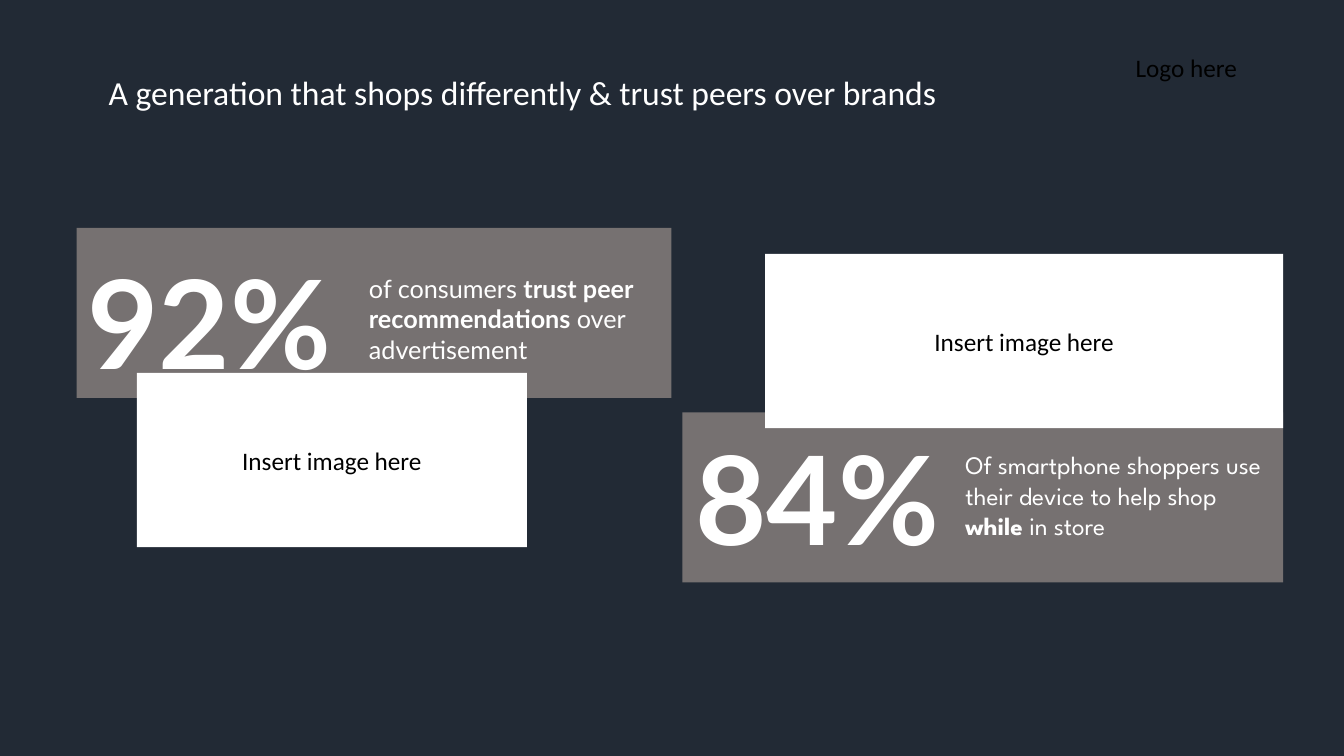
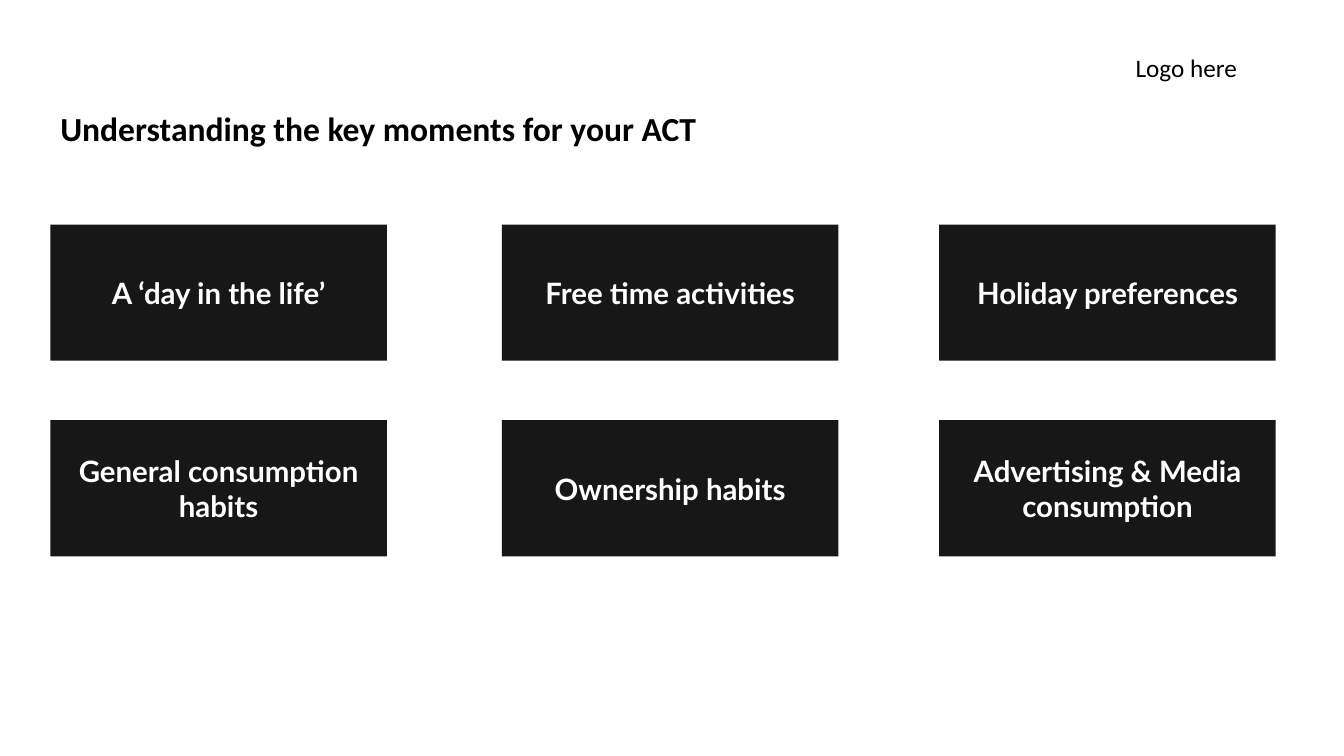
from pptx import Presentation
from pptx.dml.color import RGBColor
from pptx.enum import shapes, text
from pptx.util import Cm, Pt

HUES = {"navy": "222A35", "gray": "767171", "ink": "181717",
        "white": "FFFFFF", "black": "000000"}
WIDE = (0.33, 0.18)
SLIM = (0.25, 0.13)


def add_box(slide, place, fill=None):
    place = [Cm(n) for n in place]
    if fill is None:
        return slide.shapes.add_textbox(*place)
    box = slide.shapes.add_shape(shapes.MSO_SHAPE.RECTANGLE, *place)
    box.shadow.inherit = False
    box.fill.solid()
    box.fill.fore_color.rgb = RGBColor.from_string(HUES[fill])
    box.line.fill.background()
    return box


def write(box, parts, size, face, hue, inset=SLIM, mid=False, center=False):
    frame = box.text_frame
    frame.word_wrap = True
    frame.margin_left = frame.margin_right = Cm(inset[0])
    frame.margin_top = frame.margin_bottom = Cm(inset[1])
    frame.vertical_anchor = text.MSO_ANCHOR.MIDDLE if mid else text.MSO_ANCHOR.TOP
    para = frame.paragraphs[0]
    para.alignment = text.PP_ALIGN.CENTER if center else text.PP_ALIGN.LEFT
    for words, bold in parts:
        run = para.add_run()
        run.text = words
        run.font.size = Pt(size)
        run.font.name = face
        run.font.bold = bold
        run.font.color.rgb = RGBColor.from_string(HUES[hue])
    return para


deck = Presentation()
deck.slide_width = Cm(33.87)
deck.slide_height = Cm(19.05)

pages = [
    ("navy", "white", False, (2.49, 1.09, 31.37, 2.57),
     "A generation that shops differently & trust peers over brands"),
    ("white", "black", True, (1.27, 2.01, 22.4, 2.57),
     "Understanding the key moments for your ACT"),
]
for back, hue, bold, place, title in pages:
    slide = deck.slides.add_slide(deck.slide_layouts[6])
    slide.background.fill.solid()
    slide.background.fill.fore_color.rgb = RGBColor.from_string(HUES[back])
    logo = add_box(slide, (28.37, 1.19, 5.4, 1.02))
    write(logo, [("Logo here", False)], 18, "Calibri", "black")
    head = add_box(slide, place)
    para = write(head, [(title, bold)], 24, "Calibri", hue, mid=True)
    para.line_spacing = 0.9

stats, cards = deck.slides

facts = [
    ((17.2, 10.39, 15.14, 4.29), "84%", (17.2, 10.46, 7.72, 4.11),
     (24, 11.15, 8.56, 2.64), "League Spartan",
     [("Of smartphone shoppers use their device to help shop ", False),
      ("while", True), (" in store", False)],
     (19.28, 6.4, 13.06, 4.39)),
    ((1.93, 5.74, 14.99, 4.29), "92%", (1.88, 6.02, 10.36, 4.11),
     (8.97, 6.71, 7.92, 2.64), "Lato",
     [("of consumers ", False), ("trust peer recommendations ", True),
      ("over advertisement", False)],
     (3.45, 9.4, 9.83, 4.39)),
]
for panel, share, spot, side, face, parts, photo in facts:
    add_box(stats, panel, "gray")
    write(add_box(stats, spot), [(share, True)], 88, "Lato", "white", WIDE)
    write(add_box(stats, side), parts, 18, face, "white", WIDE)
    write(add_box(stats, photo, "white"), [("Insert image here", False)],
          18, "Calibri", "black", mid=True, center=True)

topics = [
    ["A ‘day in the life’", "Free time activities", "Holiday preferences"],
    ["General consumption habits", "Ownership habits",
     "Advertising & Media consumption"],
]
for top, row in zip((5.66, 10.59), topics):
    for left, topic in zip((1.27, 12.65, 23.67), row):
        card = add_box(cards, (left, top, 8.48, 3.43), "ink")
        write(card, [(topic, True)], 21, "Lato", "white", WIDE,
              mid=True, center=True)

deck.save("out.pptx")
